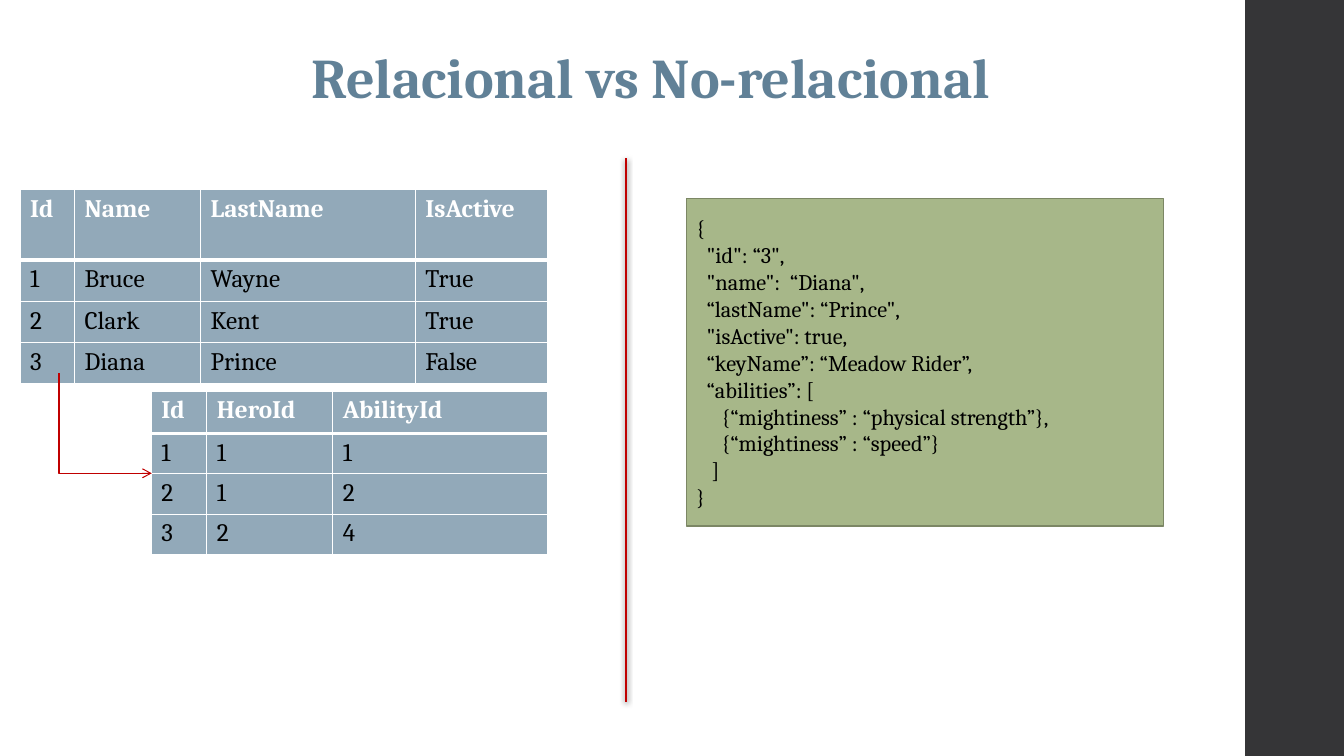
from lxml import etree
from pptx import Presentation
from pptx.dml.color import RGBColor
from pptx.enum.shapes import MSO_CONNECTOR, MSO_SHAPE
from pptx.enum.text import MSO_ANCHOR, MSO_AUTO_SIZE, PP_ALIGN
from pptx.oxml import parse_xml
from pptx.oxml.ns import qn
from pptx.util import Inches, Pt

RECT = MSO_SHAPE.RECTANGLE
STRAIGHT, ELBOW = MSO_CONNECTOR.STRAIGHT, MSO_CONNECTOR.ELBOW
MIDDLE, LEFT = MSO_ANCHOR.MIDDLE, PP_ALIGN.LEFT
GROW = MSO_AUTO_SIZE.SHAPE_TO_FIT_TEXT

WHITE = RGBColor(0xFF, 0xFF, 0xFF)
BLACK = RGBColor(0x00, 0x00, 0x00)
CHARCOAL = RGBColor(0x35, 0x35, 0x37)
SLATE = RGBColor(0x61, 0x81, 0x97)
CELL_BLUE = RGBColor(0x92, 0xA9, 0xB9)
RED = RGBColor(0xC0, 0x00, 0x00)
GREEN = RGBColor(0xA7, 0xB7, 0x89)
DARK_GREEN = RGBColor(0x7C, 0x87, 0x65)
FONT = "Cambria"
NS = "http://schemas.openxmlformats.org/drawingml/2006/main"


def add_run(p, text, size, color, bold=False):
    r = p.add_run()
    r.text = text
    r.font.name = FONT
    r.font.size = Pt(size)
    r.font.bold = bold
    r.font.color.rgb = color


def set_borders(cell, top, bottom):
    tc_pr = cell._tc.get_or_add_tcPr()
    widths = {"lnL": 1, "lnR": 1, "lnT": top, "lnB": bottom}
    for i, (side, width) in enumerate(widths.items()):
        tc_pr.insert(i, parse_xml(
            f'<a:{side} xmlns:a="{NS}" w="{Pt(width)}"><a:solidFill>'
            f'<a:srgbClr val="{WHITE}"/></a:solidFill></a:{side}>'))


prs = Presentation()
prs.slide_width, prs.slide_height = Inches(13.33), Inches(7.5)
s = prs.slides.add_slide(prs.slide_layouts[6])

side_bar = s.shapes.add_shape(RECT, Inches(12.35), 0, Inches(0.98), Inches(7.5))
side_bar.shadow.inherit = False
side_bar.fill.solid()
side_bar.fill.fore_color.rgb = CHARCOAL
side_bar.line.fill.background()

title = s.shapes.add_textbox(Inches(2.99), Inches(0.37), Inches(7.22), Inches(0.77))
tf = title.text_frame
tf.word_wrap = False
tf.auto_size = GROW
add_run(tf.paragraphs[0], "Relacional vs No-relacional", 40, SLATE, True)

heroes = [
    ["Id", "Name", "LastName", "IsActive"],
    ["1", "Bruce", "Wayne", "True"],
    ["2", "Clark", "Kent", "True"],
    ["3", "Diana", "Prince", "False"],
]
hero_abilities = [
    ["Id", "HeroId", "AbilityId"],
    ["1", "1", "1"],
    ["2", "1", "2"],
    ["3", "2", "4"],
]
tables = [
    (heroes, 0.2, 1.88, [0.54, 1.25, 2.13, 1.31], 0.7, 0.41),
    (hero_abilities, 1.5, 3.88, [0.55, 1.25, 2.13], 0.42, 0.4),
]
for rows, left, top, widths, head_height, row_height in tables:
    height = head_height + row_height * (len(rows) - 1)
    table = s.shapes.add_table(len(rows), len(widths), Inches(left), Inches(top),
                               Inches(sum(widths)), Inches(height)).table
    for column, width in zip(table.columns, widths):
        column.width = Inches(width)
    for i, values in enumerate(rows):
        table.rows[i].height = Inches(row_height if i else head_height)
        for j, value in enumerate(values):
            cell = table.cell(i, j)
            cell.fill.solid()
            cell.fill.fore_color.rgb = CELL_BLUE
            set_borders(cell, 3 if i == 1 else 1, 1 if i else 3)
            add_run(cell.text_frame.paragraphs[0], value, 18,
                    BLACK if i else WHITE, i == 0)

link = s.shapes.add_connector(ELBOW, Inches(0.55), Inches(4.66), Inches(1.54), Inches(3.74))
link.line.color.rgb = RED
link.line.width = Pt(0.75)
sp_pr = link._element.spPr
sp_pr.find(qn("a:xfrm")).set("rot", "5400000")
sp_pr.find(qn("a:prstGeom")).set("prst", "bentConnector2")
etree.SubElement(sp_pr.find(qn("a:ln")), qn("a:tailEnd"), type="arrow")
etree.SubElement(sp_pr, qn("a:effectLst"))

divider = s.shapes.add_connector(STRAIGHT, Inches(6.21), Inches(1.57), Inches(6.21), Inches(6.96))
divider.line.color.rgb = RED
divider.line.width = Pt(1.35)
effects = etree.SubElement(divider._element.spPr, qn("a:effectLst"))
shadow = etree.SubElement(effects, qn("a:outerShdw"), blurRad=str(Pt(4)),
                          dist=str(Pt(1.2)), dir="5400000", rotWithShape="0")
shade = etree.SubElement(shadow, qn("a:srgbClr"), val=str(BLACK))
etree.SubElement(shade, qn("a:alpha"), val="75000")

document = s.shapes.add_shape(RECT, Inches(6.81), Inches(1.97), Inches(4.73), Inches(3.25))
document.shadow.inherit = False
document.fill.solid()
document.fill.fore_color.rgb = GREEN
document.line.color.rgb = DARK_GREEN
document.line.width = Pt(1.1)
tf = document.text_frame
tf.word_wrap = True
tf.vertical_anchor = MIDDLE
json_lines = [
    (0, "{"),
    (0.1, "\"id\": “3\","),
    (0.1, "\"name\":  “Diana\","),
    (0.1, "“lastName\": “Prince\","),
    (0.1, "\"isActive\": true,"),
    (0.1, "“keyName”: “Meadow Rider”,"),
    (0.1, "“abilities”: ["),
    (0.25, "{“mightiness” : “physical strength”},"),
    (0.25, "{“mightiness” : “speed”}"),
    (0.15, "]"),
    (0, "}"),
]
for i, (indent, text) in enumerate(json_lines):
    p = tf.add_paragraph() if i else tf.paragraphs[0]
    p.alignment = LEFT
    p._p.get_or_add_pPr().set("marL", str(Inches(indent)))
    add_run(p, text, 16, BLACK)

prs.save("out.pptx")
